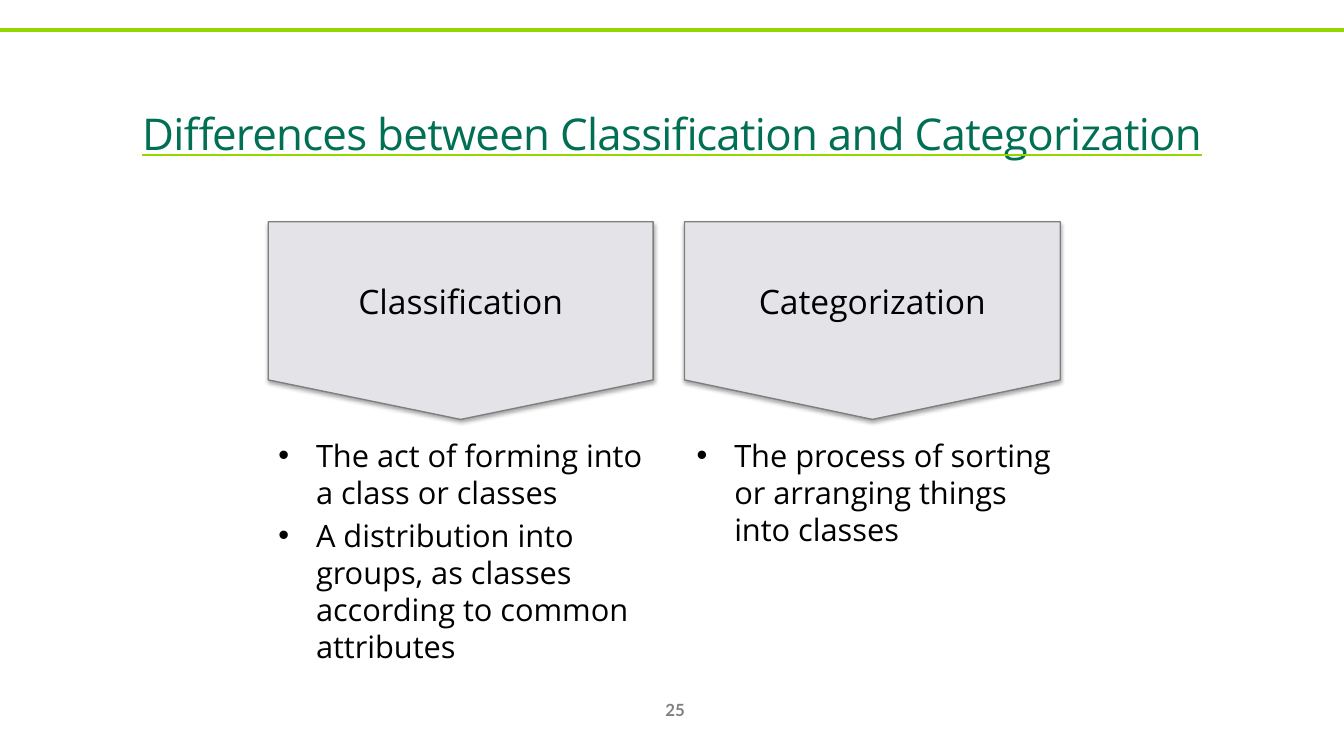
from dataclasses import dataclass
from typing import Any

from pptx import Presentation
from pptx.dml.color import RGBColor
from pptx.enum.shapes import MSO_CONNECTOR, MSO_SHAPE
from pptx.enum.text import MSO_ANCHOR, MSO_AUTO_SIZE, PP_ALIGN
from pptx.oxml import parse_xml
from pptx.oxml.ns import nsdecls, qn
from pptx.util import Cm, Pt

COLORS = {
    "lime": "95D600",
    "green": "006F53",
    "black": "000000",
    "number": "808080",
    "banner": "E4E3E8",
    "outline": "7F7F7F",
}

TITLE_FONT = {"name": "Open Sans", "size": Pt(54), "underline": True}
BANNER_FONT = {"name": "Open Sans", "size": Pt(24)}
BULLET_FONT = {"name": "Open Sans", "size": Pt(22)}
NUMBER_FONT = {"name": "Lato", "size": Pt(12), "bold": True}
MIDDLE_FRAME = {
    "word_wrap": True,
    "auto_size": MSO_AUTO_SIZE.NONE,
    "vertical_anchor": MSO_ANCHOR.MIDDLE,
}
TOP_FRAME = MIDDLE_FRAME | {"vertical_anchor": MSO_ANCHOR.TOP}

BANNER_TOP, BANNER_HEIGHT = Cm(5.59), Cm(4.98)
LIST_TOP, LIST_HEIGHT = Cm(10.87), Cm(1.65)
BULLET_INDENT = Cm(0.95)


@dataclass
class Column:
    heading: str
    banner_left: float
    banner_width: float
    list_left: float
    list_width: float
    bullets: list[str]


COLUMNS = [
    Column("Classification", 6.76, 9.7, 6.76, 9.7, [
        "The act of forming into a class or classes",
        "A distribution into groups, as classes according to common attributes",
    ]),
    Column("Categorization", 17.25, 9.47, 17.3, 9.91, [
        "The process of sorting or arranging things into classes",
    ]),
]


def rgb(name: str) -> RGBColor:
    return RGBColor.from_string(COLORS[name])


def apply_format(target: Any, values: dict[str, Any]) -> None:
    for name, value in values.items():
        setattr(target, name, value)


def write_run(paragraph: Any, text: str, font: dict[str, Any], color: str) -> Any:
    run = paragraph.add_run()
    run.text = text
    apply_format(run.font, font)
    run.font.color.rgb = rgb(color)
    return run


def draw_top_line(slide: Any, width: int) -> None:
    line = slide.shapes.add_connector(MSO_CONNECTOR.STRAIGHT, 0, Cm(0.76), width, Cm(0.76))
    line.line.width = Pt(3)
    line.line.color.rgb = rgb("lime")
    line._element.spPr.append(parse_xml(f"<a:effectLst {nsdecls('a')}/>"))


def draw_title(slide: Any, text: str) -> None:
    title = slide.shapes.title
    apply_format(title, {"left": Cm(3.33), "top": Cm(1.55), "width": Cm(30.05), "height": Cm(3.18)})
    apply_format(title.text_frame, MIDDLE_FRAME)
    paragraph = title.text_frame.paragraphs[0]
    apply_format(paragraph, {"alignment": PP_ALIGN.LEFT, "line_spacing": 1.1})
    run = write_run(paragraph, text, TITLE_FONT, "green")
    properties = run._r.get_or_add_rPr()
    properties.set("baseline", "12000")
    properties.set("spc", "-50")
    properties.find(qn("a:latin")).addprevious(parse_xml(
        f'<a:uFill {nsdecls("a")}><a:solidFill><a:srgbClr val="{COLORS["lime"]}"/>'
        "</a:solidFill></a:uFill>"
    ))


def draw_banner(slide: Any, column: Column) -> None:
    banner = slide.shapes.add_shape(
        MSO_SHAPE.FLOWCHART_OFFPAGE_CONNECTOR,
        Cm(column.banner_left), BANNER_TOP, Cm(column.banner_width), BANNER_HEIGHT,
    )
    banner.fill.solid()
    banner.fill.fore_color.rgb = rgb("banner")
    banner.line.color.rgb = rgb("outline")
    banner.line.width = Pt(1)
    banner.shadow.inherit = False
    banner._element.spPr.find(qn("a:effectLst")).append(parse_xml(
        f'<a:outerShdw {nsdecls("a")} blurRad="{Pt(3.1)}" dist="{Pt(1.8)}" dir="5400000" '
        f'rotWithShape="0"><a:srgbClr val="{COLORS["black"]}"><a:alpha val="35000"/>'
        "</a:srgbClr></a:outerShdw>"
    ))
    apply_format(banner.text_frame, MIDDLE_FRAME)
    paragraph = banner.text_frame.paragraphs[0]
    paragraph.alignment = PP_ALIGN.CENTER
    write_run(paragraph, column.heading, BANNER_FONT, "black")


def add_bullet(paragraph: Any) -> None:
    properties = paragraph._p.get_or_add_pPr()
    properties.set("marL", str(BULLET_INDENT))
    properties.set("indent", str(-BULLET_INDENT))
    for markup in (
        f'<a:buClr {nsdecls("a")}><a:srgbClr val="{COLORS["black"]}"/></a:buClr>',
        f'<a:buFont {nsdecls("a")} typeface="Arial"/>',
        f'<a:buChar {nsdecls("a")} char="•"/>',
    ):
        properties.append(parse_xml(markup))


def fill_list(body: Any, column: Column) -> None:
    apply_format(body, {
        "left": Cm(column.list_left), "top": LIST_TOP,
        "width": Cm(column.list_width), "height": LIST_HEIGHT,
    })
    frame = body.text_frame
    apply_format(frame, TOP_FRAME)
    for index, text in enumerate(column.bullets):
        paragraph = frame.add_paragraph() if index else frame.paragraphs[0]
        add_bullet(paragraph)
        paragraph.space_before = Pt(4.4 if index else 0)
        write_run(paragraph, text, BULLET_FONT, "black")


def draw_slide_number(slide: Any, number: str) -> None:
    box = slide.shapes.add_textbox(Cm(16.23), Cm(17.37), Cm(1.57), Cm(1.02))
    apply_format(box.text_frame, MIDDLE_FRAME)
    paragraph = box.text_frame.paragraphs[0]
    paragraph.alignment = PP_ALIGN.CENTER
    write_run(paragraph, number, NUMBER_FONT, "number")


def main() -> None:
    presentation = Presentation()
    apply_format(presentation, {"slide_width": Cm(33.87), "slide_height": Cm(19.05)})
    slide = presentation.slides.add_slide(presentation.slide_layouts.get_by_name("Two Content"))
    draw_top_line(slide, presentation.slide_width)
    draw_slide_number(slide, "25")
    draw_title(slide, "Differences between Classification and Categorization")
    bodies = list(slide.placeholders)[1:]
    for body, column in zip(bodies, COLUMNS):
        draw_banner(slide, column)
        fill_list(body, column)
    presentation.save("out.pptx")


if __name__ == "__main__":
    main()
